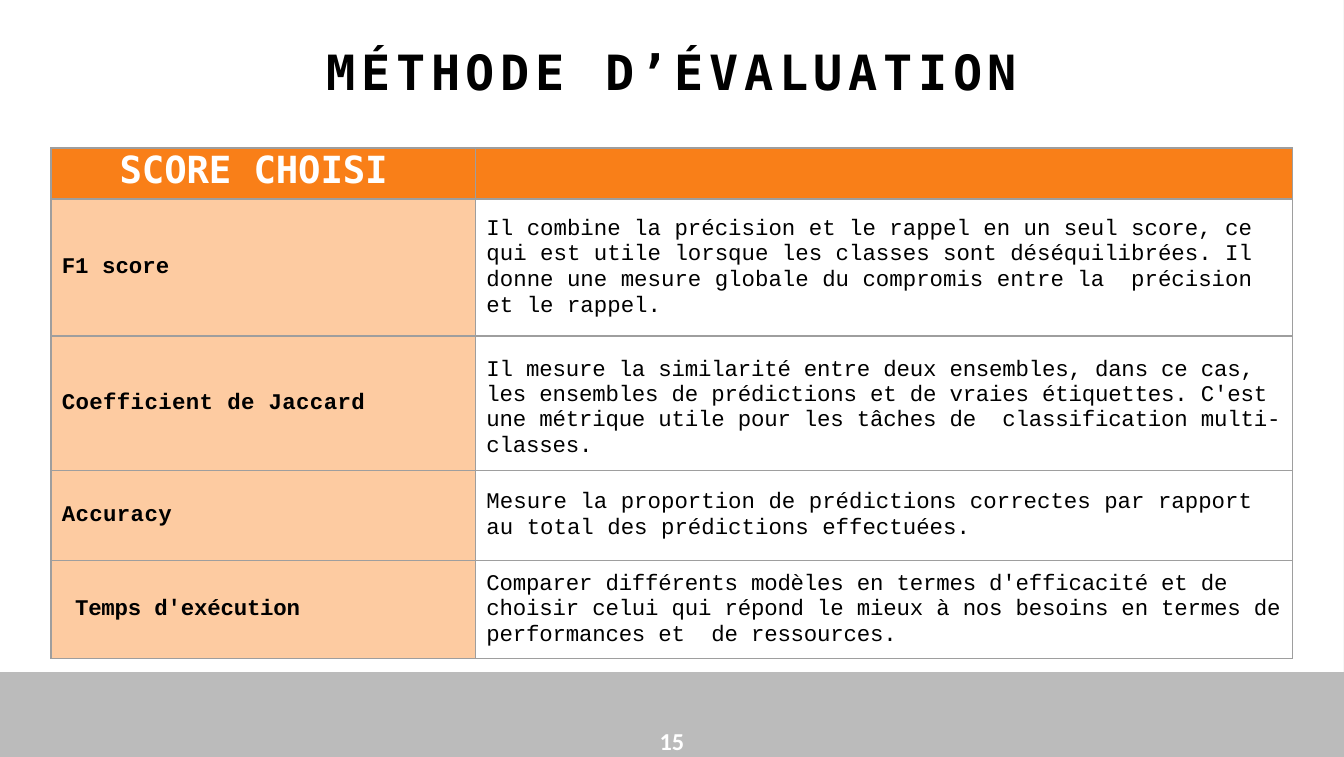
from lxml.etree import SubElement
from pptx import Presentation
from pptx.dml.color import RGBColor
from pptx.enum.text import MSO_ANCHOR, PP_ALIGN
from pptx.oxml.ns import qn
from pptx.util import Inches, Pt

WHITE = RGBColor(0xFF, 0xFF, 0xFF)
BLACK = RGBColor(0, 0, 0)
GREY = RGBColor(0xBB, 0xBB, 0xBB)
LINE = RGBColor(0x9E, 0x9E, 0x9E)
ORANGE = RGBColor(0xF9, 0x7F, 0x18)
PEACH = RGBColor(0xFD, 0xCB, 0xA1)
MONO, BODY = "DejaVu Sans Mono", "Courier New"

TITLE = "MÉTHODE D’ÉVALUATION"
HEAD = "SCORE CHOISI "
SCORES = [
    dict(name="F1 score", gap=0, high=1.02, lead=13.8, top=0, right=0, fit=0,
         text="Il combine la précision et le rappel en un seul score, ce qui est utile lorsque les classes sont déséquilibrées. Il donne une mesure globale du compromis entre la  précision et le rappel."),
    dict(name="Coefficient de Jaccard", gap=0.2, high=1, lead=None, top=5.2, right=0.07, fit=-0.1,
         text="Il mesure la similarité entre deux ensembles, dans ce cas, les ensembles de prédictions et de vraies étiquettes. C'est une métrique utile pour les tâches de  classification multi-classes."),
    dict(name="Accuracy", gap=0.2, high=0.67, lead=13.8, top=0, right=0, fit=0,
         text="Mesure la proportion de prédictions correctes par rapport au total des prédictions effectuées."),
    dict(name=" Temps d'exécution", gap=-0.1, high=0.73, lead=13.8, top=0, right=0, fit=-0.1,
         text="Comparer différents modèles en termes d'efficacité et de choisir celui qui répond le mieux à nos besoins en termes de performances et  de ressources."),
]
COLS = [3.16, 6.08]
WIDE, HIGH = 10, 5.63


def write(frame, text, size, face, color, bold=True, gap=0, align=None, indent=0, lead=None):
    par = frame.paragraphs[0]
    par.alignment = align
    if indent:
        par._p.get_or_add_pPr().set("marL", str(Inches(indent)))
    if lead:
        par.line_spacing = Pt(lead)
    run = par.add_run()
    run.text = text
    font = run.font
    font.size, font.name, font.bold = Pt(size), face, bold
    font.color.rgb = color
    if gap:
        run._r.get_or_add_rPr().set("spc", str(round(gap * 100)))
    return par


def pad(item, right=0):
    item.margin_left = item.margin_top = item.margin_bottom = 0
    item.margin_right = Inches(right)


def style(cell, fill=None, right=0):
    pad(cell, right)
    cell.vertical_anchor = MSO_ANCHOR.MIDDLE
    props = cell._tc.get_or_add_tcPr()
    for side in ("lnL", "lnR", "lnT", "lnB"):
        edge = SubElement(props, qn("a:" + side), w=str(Pt(0.75)))
        paint = SubElement(edge, qn("a:solidFill"))
        SubElement(paint, qn("a:srgbClr"), val=str(LINE))
    if fill is None:
        cell.fill.background()
    else:
        cell.fill.solid()
        cell.fill.fore_color.rgb = fill


def add_frame(slide):
    left, top, right, base = 0.23, 0.17, 9.83, 5.41
    pen = slide.shapes.build_freeform(0.01, 0, scale=Inches(1))
    pen.add_line_segments([(WIDE, 0), (WIDE, HIGH), (0.01, HIGH)])
    pen.move_to(left, top)
    pen.add_line_segments([(left, base), (right, base), (right, top)])
    edge = pen.convert_to_shape()
    edge.shadow.inherit = False
    edge.fill.solid()
    edge.fill.fore_color.rgb = GREY
    edge.line.fill.background()


def add_title(slide):
    title = slide.shapes.title
    title.left, title.top = 0, Inches(0.3)
    title.width, title.height = Inches(WIDE), Inches(0.45)
    frame = title.text_frame
    pad(frame)
    frame.margin_top = Inches(0.01)
    frame.vertical_anchor = MSO_ANCHOR.TOP
    write(frame, TITLE, 26, MONO, BLACK, gap=3, align=PP_ALIGN.CENTER, indent=0.01)


def add_page(slide):
    wide = 2.3
    box = slide.shapes.add_textbox(Inches((WIDE - wide) / 2), Inches(5.4), Inches(wide), Inches(0.22))
    frame = box.text_frame
    frame.word_wrap = True
    pad(frame)
    write(frame, "15", 13, "Calibri", WHITE, align=PP_ALIGN.CENTER)


def add_scores(slide):
    rows = [0.38] + [score["high"] for score in SCORES]
    table = slide.shapes.add_table(len(rows), len(COLS), Inches(0.38), Inches(1.1),
                                   Inches(sum(COLS)), Inches(sum(rows))).table
    for col, wide in zip(table.columns, COLS):
        col.width = Inches(wide)
    for row, high in zip(table.rows, rows):
        row.height = Inches(high)
    for cell in table.rows[0].cells:
        style(cell, ORANGE)
    write(table.cell(0, 0).text_frame, HEAD, 20, MONO, WHITE, gap=-0.1,
          align=PP_ALIGN.CENTER, indent=0.02, lead=20.3)
    for row, score in enumerate(SCORES, 1):
        name, note = table.cell(row, 0), table.cell(row, 1)
        style(name, PEACH)
        write(name.text_frame, score["name"], 12, BODY, BLACK, gap=score["gap"],
              indent=0.08, lead=13.8)
        style(note, right=score["right"])
        note.margin_top = Pt(score["top"])
        write(note.text_frame, score["text"], 12, BODY, BLACK, bold=False,
              gap=score["fit"], indent=0.08, lead=score["lead"])


def main():
    deck = Presentation()
    deck.slide_width, deck.slide_height = Inches(WIDE), Inches(HIGH)
    slide = deck.slides.add_slide(deck.slide_layouts[5])
    add_frame(slide)
    add_page(slide)
    add_title(slide)
    add_scores(slide)
    deck.save("out.pptx")


if __name__ == "__main__":
    main()
